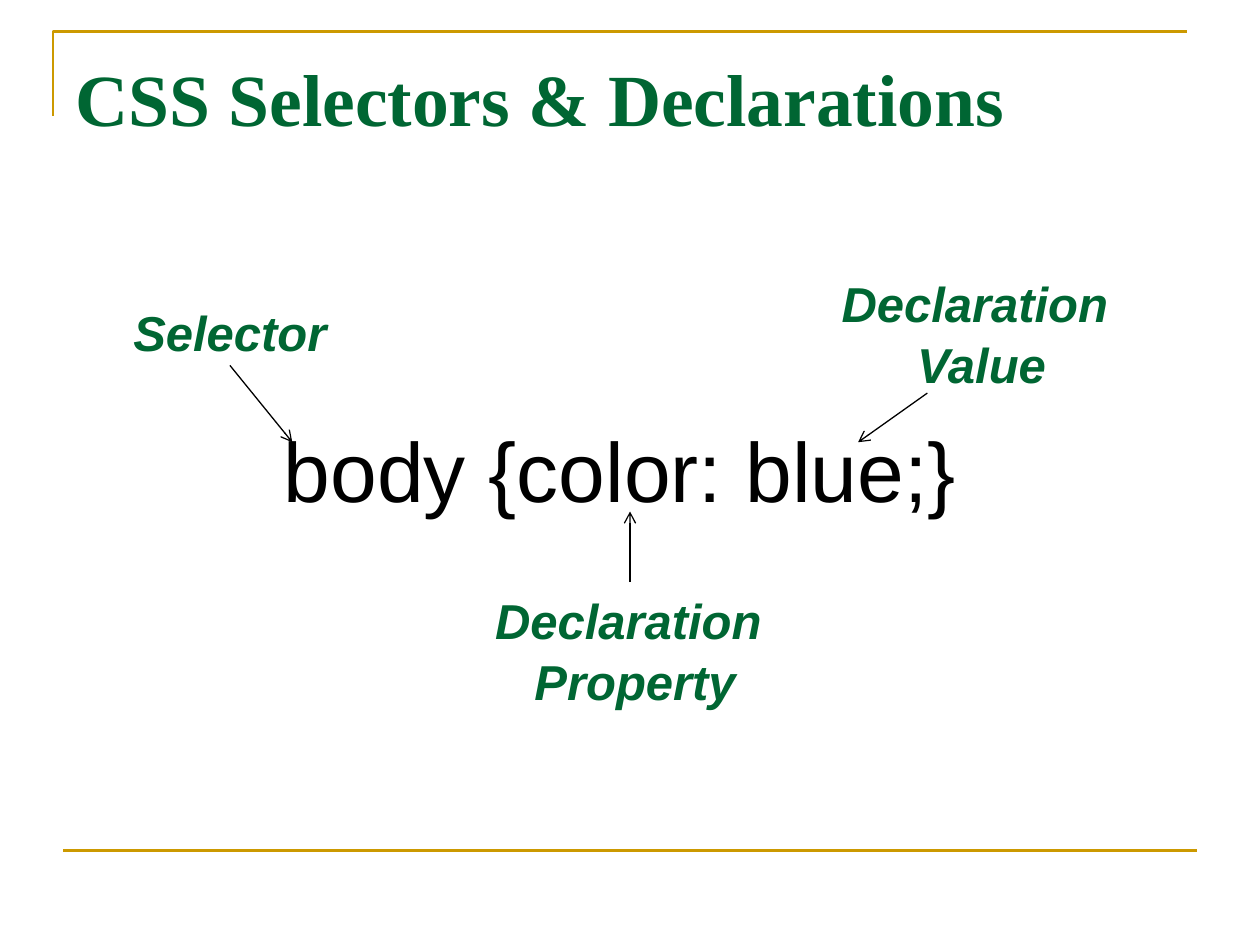
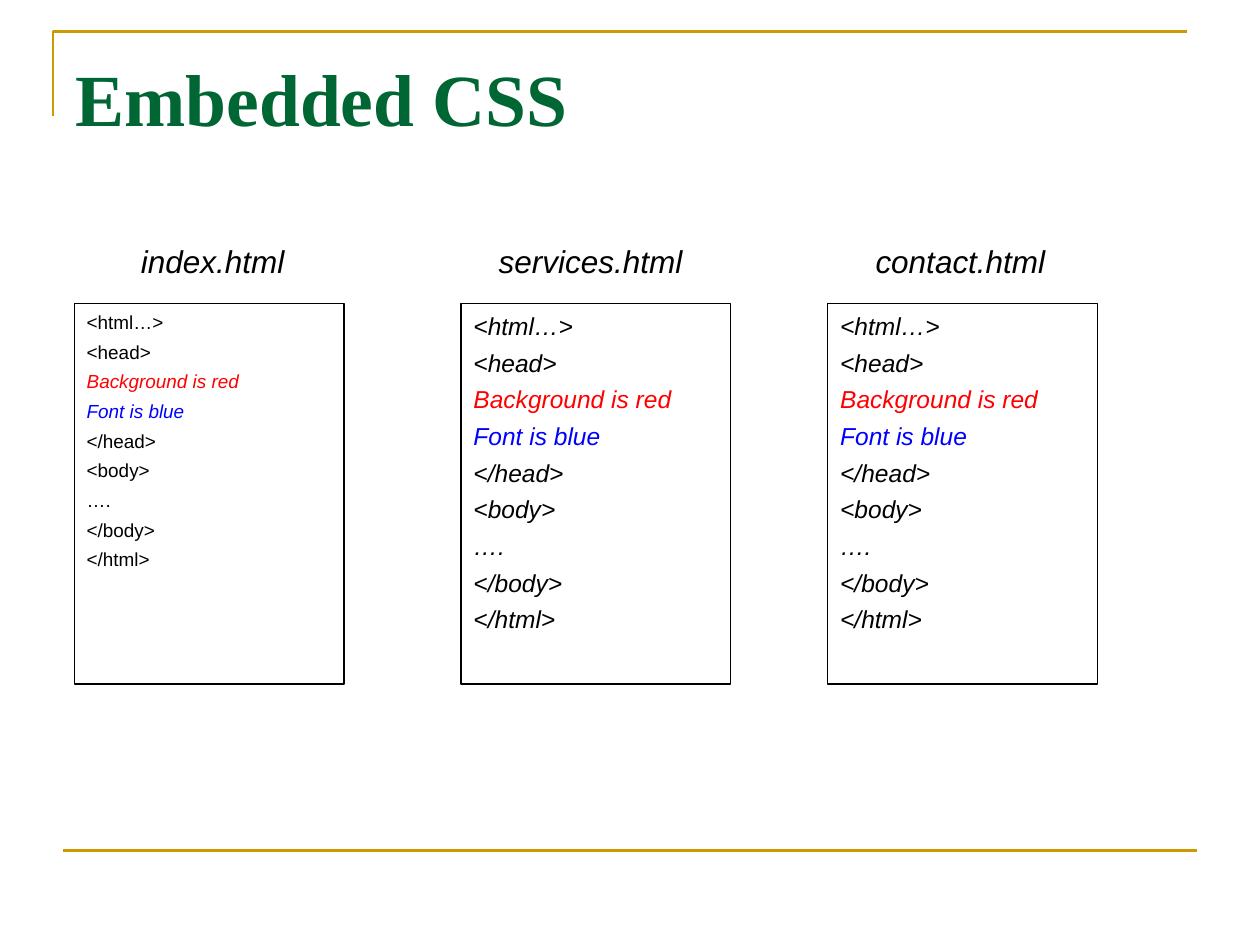
from lxml import etree
from pptx import Presentation
from pptx.dml.color import RGBColor
from pptx.enum.shapes import MSO_CONNECTOR, MSO_SHAPE
from pptx.enum.text import MSO_ANCHOR, MSO_AUTO_SIZE, PP_ALIGN
from pptx.oxml.ns import qn
from pptx.util import Pt

LEFT, CENTER = PP_ALIGN.LEFT, PP_ALIGN.CENTER
TOP, NO_FIT = MSO_ANCHOR.TOP, MSO_AUTO_SIZE.NONE
STRAIGHT, RECTANGLE = MSO_CONNECTOR.STRAIGHT, MSO_SHAPE.RECTANGLE
GREEN, GOLD, BLACK, WHITE = "006633", "CC9900", "000000", "FFFFFF"
RED, BLUE = "FF0000", "0000FF"
TITLE_ONLY = 5
rgb = RGBColor.from_string

prs = Presentation()
prs.slide_width, prs.slide_height = Pt(720), Pt(540)
CELL = prs.slide_width / 100  # the grid has 100 columns and 75 rows


def grid(*cells):
    return [round(CELL * c) for c in cells]


def write(tf, lines, size, align=LEFT, bold=False, italic=False,
          font="Arial", before=0, wrap=True, top=0.5):
    """Fill a text frame; each line is (text, colour) or (text, colour, italic)."""
    tf.word_wrap, tf.auto_size, tf.vertical_anchor = wrap, NO_FIT, TOP
    tf.margin_left, tf.margin_right, tf.margin_top, tf.margin_bottom = grid(1, 1, top, 0.5)
    for i, (text, color, *slant) in enumerate(lines):
        p = tf.paragraphs[0] if i == 0 else tf.add_paragraph()
        p.alignment, p.line_spacing = align, 1.04
        p.space_before = Pt(before if i else 0)
        r = p.add_run()
        r.text = text
        r.font.name, r.font.size, r.font.bold = font, Pt(size), bold
        r.font.italic = slant[0] if slant else italic
        r.font.color.rgb = rgb(color)


# Shared frame: gold corner, bottom rule and title
slides = []
for title in ("CSS Selectors & Declarations", "Embedded CSS"):
    s = prs.slides.add_slide(prs.slide_layouts[TITLE_ONLY])
    builder = s.shapes.build_freeform(*grid(4.2, 9.2))
    builder.add_line_segments([grid(4.2, 2.5), grid(94.2, 2.5)], close=False)
    corner = builder.convert_to_shape()
    corner.shadow.inherit = False
    corner.fill.background()
    rule = s.shapes.add_connector(STRAIGHT, *grid(5, 67.5, 95, 67.5))
    etree.SubElement(rule._element.spPr, qn("a:effectLst"))
    for sp in (corner, rule):
        sp.line.color.rgb, sp.line.width = rgb(GOLD), Pt(1.5)
    sp = s.shapes.title
    sp.left, sp.top, sp.width, sp.height = grid(5, 3, 90, 12.5)
    write(sp.text_frame, [(title, GREEN)], 42, bold=True, font="Times New Roman", top=0.9)
    slides.append(s)
rule_slide, pages_slide = slides

# Slide 1: the CSS rule
sp = rule_slide.shapes.add_textbox(*grid(3.5, 32, 91.4, 22))
write(sp.text_frame, [("body {color: blue;}", BLACK)], 48, CENTER, top=0.9)

# Part labels, each with an arrow to its part of the rule
labels = [
    (["Selector"], (9.6, 23.3, 17.3, 5.7), LEFT, (18.25, 29, 23.2, 35.1)),
    (["Declaration ", "Property"], (38.3, 46.2, 24.2, 10.4), CENTER, (50, 46.2, 50, 40.6)),
    (["Declaration ", "Value"], (65.8, 21, 24.2, 10.4), CENTER, (73.6, 31.2, 68.1, 35.1)),
]
for lines, place, align, ends in labels:
    sp = rule_slide.shapes.add_textbox(*grid(*place))
    write(sp.text_frame, [(text, GREEN) for text in lines], 28, align,
          bold=True, italic=True, wrap=False)
    arrow = rule_slide.shapes.add_connector(STRAIGHT, *grid(*ends))
    if lines == ["Selector"]:
        arrow.begin_connect(sp, 2)
    arrow.line.color.rgb, arrow.line.width = rgb(BLACK), Pt(0.75)
    etree.SubElement(arrow.line._get_or_add_ln(), qn("a:tailEnd"), type="arrow")
    etree.SubElement(arrow._element.spPr, qn("a:effectLst"))

# Slide 2: three pages repeating the same embedded styles
head = ["<html…>", "<head>"]
styles = [("Background is red", RED, True), ("Font is blue", BLUE, True)]
body = ["</head>", "<body>", "….", "</body>", "</html>"]
pages = [  # name, page left, name left, name width, code size, italic code
    ("index.html", 5.9, 10.2, 13.4, 10.8, False),
    ("services.html", 36.6, 38.6, 16.6, 14, True),
    ("contact.html", 65.7, 68.5, 15.5, 14, True),
]
for name, left, name_left, name_width, size, italic in pages:
    sp = pages_slide.shapes.add_shape(RECTANGLE, *grid(left, 24.1, 21.4, 30.2))
    sp.shadow.inherit = False
    sp.fill.solid()
    sp.fill.fore_color.rgb = rgb(WHITE)
    sp.line.color.rgb, sp.line.width = rgb(BLACK), Pt(0.75)
    code = [(t, BLACK) for t in head] + styles + [(t, BLACK) for t in body]
    write(sp.text_frame, code, size, italic=italic, before=3.5)
    sp = pages_slide.shapes.add_textbox(*grid(name_left, 18.6, name_width, 4))
    write(sp.text_frame, [(name, BLACK)], 18, italic=True, wrap=False)

prs.save("out.pptx")
